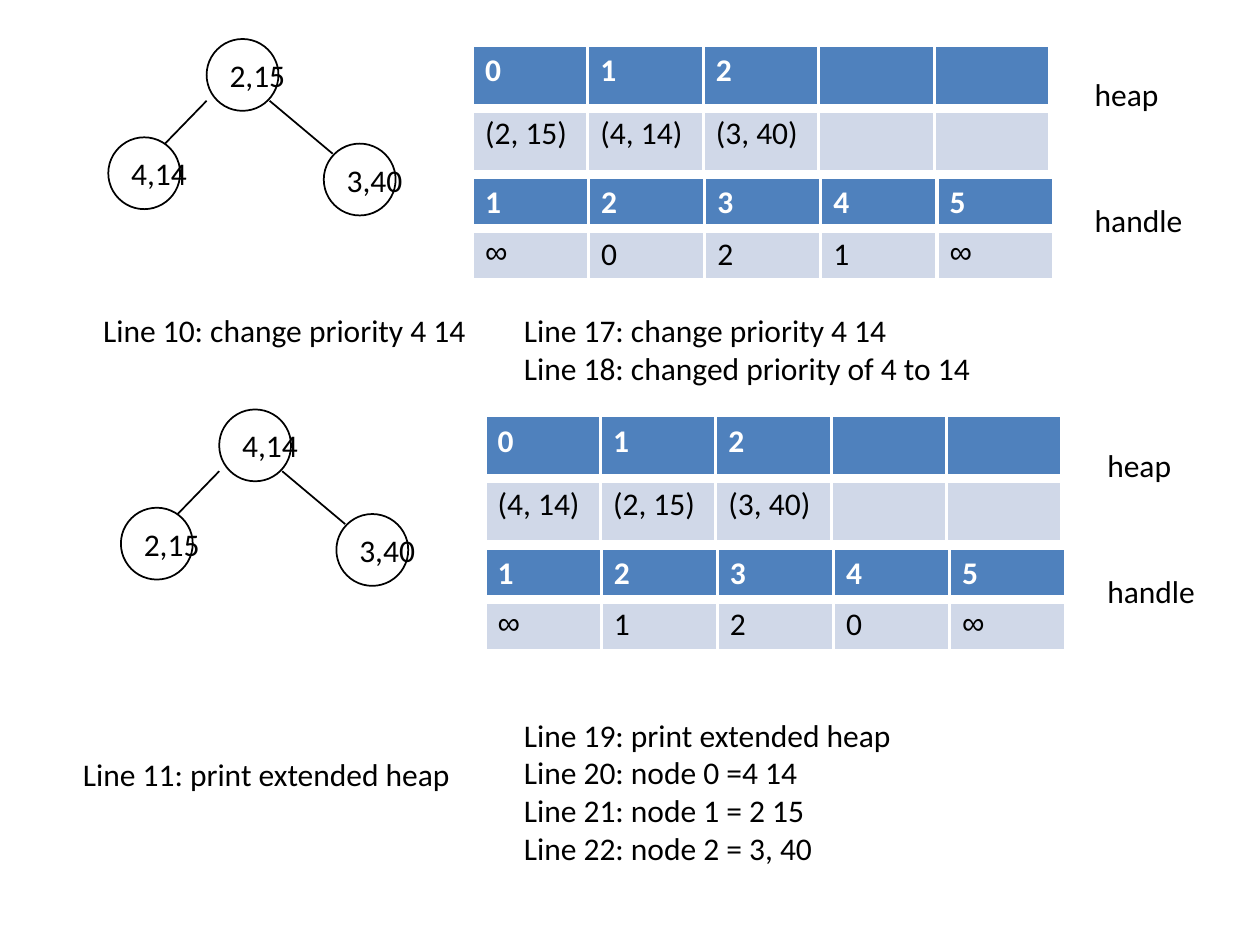
from lxml import etree
from pptx import Presentation
from pptx.dml.color import RGBColor
from pptx.enum.shapes import MSO_CONNECTOR, MSO_SHAPE
from pptx.enum.text import MSO_ANCHOR, MSO_AUTO_SIZE, PP_ALIGN
from pptx.oxml import parse_xml
from pptx.oxml.ns import qn
from pptx.util import Inches, Pt

LINE = MSO_CONNECTOR.STRAIGHT
OVAL = MSO_SHAPE.OVAL
MIDDLE = MSO_ANCHOR.MIDDLE
GROW = MSO_AUTO_SIZE.SHAPE_TO_FIT_TEXT
LEFT = PP_ALIGN.LEFT

BLACK, WHITE = "000000", "FFFFFF"
HEADER, BODY = "4F81BD", "D0D8E8"
NODE_SIZE = 0.57
BORDER = (
    '<a:{} xmlns:a="http://schemas.openxmlformats.org/drawingml/2006/main" w="{}">'
    '<a:solidFill><a:srgbClr val="FFFFFF"/></a:solidFill></a:{}>'
)


def rgb(color):
    return RGBColor.from_string(color)


def write(tf, text, color=BLACK, bold=False):
    """Fill a text frame with left-aligned 18 pt lines."""
    tf.text = text
    for p in tf.paragraphs:
        p.alignment = LEFT
        p.font.name = "Arial" if text == "∞" else "Calibri"
        p.font.size = Pt(18)
        p.font.bold = bold
        p.font.color.rgb = rgb(color)


prs = Presentation()
prs.slide_width, prs.slide_height = Inches(10), Inches(7.5)
s = prs.slides.add_slide(prs.slide_layouts[6])

node_places = [(1.64, 0.31), (0.86, 1.09), (2.57, 1.14)]
edges = [(1.64, 0.8, 1.31, 1.14), (2.14, 0.8, 2.64, 1.22)]

# Each state: offset, tree nodes (root, left, right), heap row, handle row
states = [
    (0, 0, ["2,15", "4,14", "3,40"],
     ["(2, 15)", "(4, 14)", "(3, 40)", "", ""], ["∞", "0", "2", "1", "∞"]),
    (0.1, 2.94, ["4,14", "2,15", "3,40"],
     ["(4, 14)", "(2, 15)", "(3, 40)", "", ""], ["∞", "1", "2", "0", "∞"]),
]

# Text boxes: left, top, width, height, wrap, text
texts = [
    (0.72, 2.42, 3.08, 0.4, False, "Line 10: change priority 4 14"),
    (4.06, 2.42, 5, 0.7, True,
     "Line 17: change priority 4 14\nLine 18: changed priority of 4 to 14"),
    (0.56, 5.94, 3.12, 0.4, False, "Line 11: print extended heap"),
    (4.06, 5.63, 5, 1.3, True,
     "Line 19: print extended heap\nLine 20: node 0 =4 14\n"
     "Line 21: node 1 = 2 15\nLine 22: node 2 = 3, 40"),
]

for dx, dy, nodes, heap, handle in states:
    for x1, y1, x2, y2 in edges:
        edge = s.shapes.add_connector(
            LINE, Inches(x1 + dx), Inches(y1 + dy), Inches(x2 + dx), Inches(y2 + dy))
        edge.line.color.rgb = rgb(BLACK)
        edge.line.width = Pt(1)
        etree.SubElement(edge._element.spPr, qn("a:effectLst"))

    for (x, y), label in zip(node_places, nodes):
        sp = s.shapes.add_shape(OVAL, Inches(x + dx), Inches(y + dy),
                                Inches(NODE_SIZE), Inches(NODE_SIZE))
        sp.shadow.inherit = False
        sp.fill.background()
        sp.line.color.rgb = rgb(BLACK)
        sp.line.width = Pt(1)
        sp.text_frame.word_wrap = False
        sp.text_frame.vertical_anchor = MIDDLE
        write(sp.text_frame, label)

    # Tables: top, width, row height, header row, body row
    tables = [
        (0.36, 4.58, 0.5, ["0", "1", "2", "", ""], heap),
        (1.41, 4.61, 0.4, ["1", "2", "3", "4", "5"], handle),
    ]
    for top, width, row_height, *rows in tables:
        table = s.shapes.add_table(2, 5, Inches(3.75 + dx), Inches(top + dy),
                                   Inches(width), Inches(2 * row_height)).table
        table.horz_banding = False
        for col in table.columns:
            col.width = Inches(width / 5)
        for r, values in enumerate(rows):
            table.rows[r].height = Inches(row_height)
            is_header = r == 0
            for c, value in enumerate(values):
                cell = table.cell(r, c)
                write(cell.text_frame, value, WHITE if is_header else BLACK, is_header)
                cell.fill.solid()
                cell.fill.fore_color.rgb = rgb(HEADER if is_header else BODY)
                thick = "lnB" if is_header else "lnT"
                tcPr = cell._tc.get_or_add_tcPr()
                for i, side in enumerate(["lnL", "lnR", "lnT", "lnB"]):
                    w = Pt(6) if side == thick else Pt(2)
                    tcPr.insert(i, parse_xml(BORDER.format(side, w, side)))

    texts += [(8.59 + dx, 0.55 + dy, 1.17, 0.4, True, "heap"),
              (8.59 + dx, 1.55 + dy, 1.17, 0.4, True, "handle")]

for x, y, w, h, wrap, text in texts:
    tf = s.shapes.add_textbox(Inches(x), Inches(y), Inches(w), Inches(h)).text_frame
    tf.word_wrap = wrap
    tf.auto_size = GROW
    write(tf, text)

prs.save("out.pptx")
